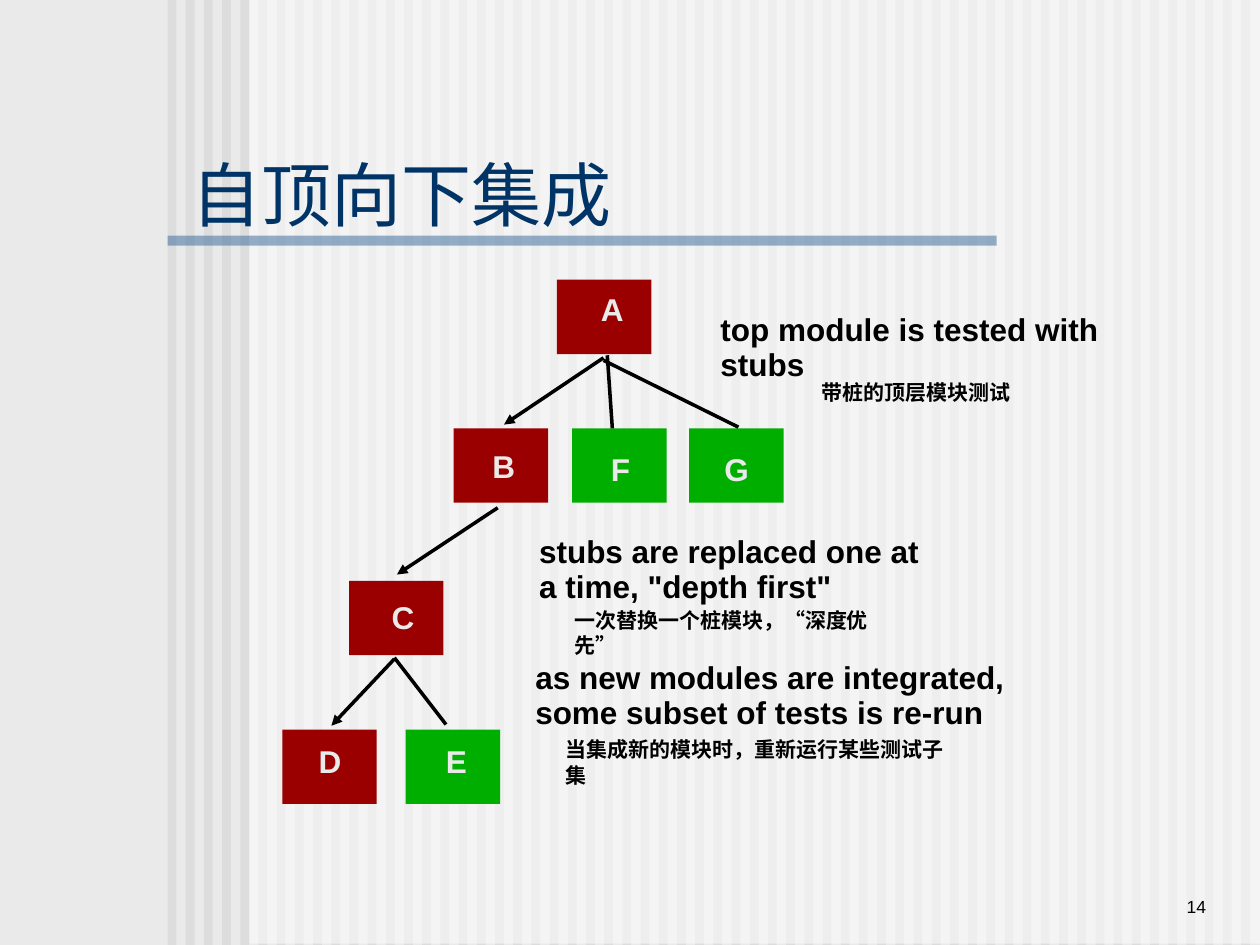
import pptx
import pptx.dml.color
import pptx.enum.shapes
import pptx.enum.text
import pptx.oxml
import pptx.oxml.ns
import pptx.util
from pptx.enum.text import MSO_ANCHOR, MSO_AUTO_SIZE, PP_ALIGN

Inches = pptx.util.Inches
RGBColor = pptx.dml.color.RGBColor

GRAY = RGBColor(0xEA, 0xEA, 0xEA)
STRIPE = RGBColor(0xDD, 0xDD, 0xDD)
WHITE = RGBColor(0xFF, 0xFF, 0xFF)
BLUE = RGBColor(0x33, 0x66, 0x99)
NAVY = RGBColor(0x00, 0x33, 0x66)
BLACK = RGBColor(0x00, 0x00, 0x00)
RED = RGBColor(0x9A, 0x00, 0x00)
GREEN = RGBColor(0x00, 0xAE, 0x00)

FONT = "Arial"
STRIPE_COUNT, STRIPE_LEFT, STRIPE_RIGHT, STRIPE_WIDTH = 60, 1.33, 9.85, 0.07
MODULE_WIDTH, MODULE_HEIGHT = 0.75, 0.59
LINE_STEP = 0.28

TITLE = "自顶向下集成"
PAGE_NUMBER = "14"

# name, fill, module left and top, label left, top and width
MODULES = [
    ("A", RED, 4.42, 2.22, 4.67, 2.25, 0.38),
    ("B", RED, 3.6, 3.4, 3.81, 3.5, 0.38),
    ("C", RED, 2.77, 4.61, 3.01, 4.7, 0.38),
    ("D", RED, 2.24, 5.79, 2.43, 5.84, 0.38),
    ("E", GREEN, 3.22, 5.79, 3.44, 5.84, 0.37),
    ("F", GREEN, 4.54, 3.4, 4.75, 3.52, 0.35),
    ("G", GREEN, 5.47, 3.4, 5.65, 3.52, 0.39),
]

STUB_LINES = [
    ((3.13, 5.22), (3.54, 5.75)),
    ((4.82, 2.82), (4.86, 3.4)),
    ((4.79, 2.86), (5.86, 3.39)),
]
INTEGRATION_ARROWS = [
    ((4.79, 2.84), (4, 3.37)),
    ((3.95, 4.03), (3.15, 4.56)),
    ((3.13, 5.23), (2.63, 5.76)),
]

STEPS = [
    (5.62, 2.41, [("top module is tested with", 3.27), ("stubs", 0.87)]),
    (4.18, 4.17, [("stubs are replaced one at", 3.28), ('a time, "depth first"', 2.52)]),
    (4.15, 5.17, [("as new modules are integrated,", 3.99),
                  ("some subset of tests is re-run", 3.76)]),
]
TRANSLATIONS = [
    ("带桩的顶层模块测试", 6.42, 2.96, 1.7),
    ("一次替换一个桩模块，“深度优先”", 4.46, 4.77, 2.86),
    ("当集成新的模块时，重新运行某些测试子集", 4.39, 5.8, 3.36),
]


def add_block(page, left, top, width, height, color, alpha=None):
    block = page.shapes.add_shape(
        pptx.enum.shapes.MSO_SHAPE.RECTANGLE,
        Inches(left), Inches(top), Inches(width), Inches(height))
    block.shadow.inherit = False
    block.fill.solid()
    block.fill.fore_color.rgb = color
    block.line.fill.background()
    if alpha is not None:
        fill_color = block.element.spPr.find(".//" + pptx.oxml.ns.qn("a:srgbClr"))
        opacity = pptx.oxml.parse_xml(
            f'<a:alpha {pptx.oxml.ns.nsdecls("a")} val="{alpha * 1000}"/>')
        fill_color.append(opacity)


def write(box, text, size, color, bold=False, align=PP_ALIGN.LEFT):
    box.text_frame.text = text
    para = box.text_frame.paragraphs[0]
    para.alignment = align
    font = para.runs[0].font
    font.name, font.size, font.bold = FONT, pptx.util.Pt(size), bold
    font.color.rgb = color


def add_text(page, text, left, top, width, height, size, color, bold=True):
    box = page.shapes.add_textbox(
        Inches(left), Inches(top), Inches(width), Inches(height))
    box.text_frame.word_wrap = False
    write(box, text, size, color, bold)
    return box


def add_line(page, start, end, arrow=False):
    line = page.shapes.add_connector(
        pptx.enum.shapes.MSO_CONNECTOR.STRAIGHT,
        *(Inches(value) for value in start + end))
    line.line.color.rgb = BLACK
    line.line.width = pptx.util.Pt(2)
    namespace = pptx.oxml.ns.nsdecls("a")
    if arrow:
        line.line._get_or_add_ln().append(
            pptx.oxml.parse_xml(f'<a:tailEnd {namespace} type="triangle"/>'))
    line.element.spPr.append(pptx.oxml.parse_xml(f"<a:effectLst {namespace}/>"))


def add_backdrop(page):
    page.background.fill.solid()
    page.background.fill.fore_color.rgb = GRAY
    pitch = (STRIPE_RIGHT - STRIPE_LEFT) / (STRIPE_COUNT - 1)
    for index in range(STRIPE_COUNT):
        add_block(page, STRIPE_LEFT + index * pitch, 0, STRIPE_WIDTH, 7.5, STRIPE)
    add_block(page, 1.98, 0, 8.02, 7.49, WHITE, 50)
    add_block(page, 1.33, 1.87, 6.58, 0.08, BLUE, 50)


def add_title(page):
    title = page.shapes.title
    title.element.getparent().append(title.element)
    title.left, title.top = Inches(1.42), Inches(1.25)
    title.width, title.height = Inches(5.79), Inches(0.57)
    title.text_frame.auto_size = MSO_AUTO_SIZE.NONE
    title.text_frame.vertical_anchor = MSO_ANCHOR.MIDDLE
    write(title, TITLE, 40, NAVY)


def main():
    deck = pptx.Presentation()
    deck.slide_width, deck.slide_height = Inches(10), Inches(7.5)
    page = deck.slides.add_slide(deck.slide_layouts[5])
    add_backdrop(page)
    add_title(page)

    number = add_text(page, PAGE_NUMBER, 8.25, 6.83, 1.42, 0.5, 10, BLACK, False)
    number.text_frame.word_wrap = True
    number.text_frame.vertical_anchor = MSO_ANCHOR.BOTTOM
    number.text_frame.paragraphs[0].alignment = PP_ALIGN.RIGHT

    for _, color, left, top, *_ in MODULES:
        add_block(page, left, top, MODULE_WIDTH, MODULE_HEIGHT, color)
    for start, end in STUB_LINES:
        add_line(page, start, end)
    for text, left, top, width in TRANSLATIONS:
        add_text(page, text, left, top, width, 0.3, 12, BLACK)
    for name, _, _, _, left, top, width in MODULES:
        add_text(page, name, left, top, width, 0.4, 18, GRAY)
    for start, end in INTEGRATION_ARROWS:
        add_line(page, start, end, arrow=True)
    for left, top, lines in STEPS:
        for index, (text, width) in enumerate(lines):
            add_text(page, text, left, top + index * LINE_STEP, width, 0.4, 18, BLACK)

    deck.save("out.pptx")


if __name__ == "__main__":
    main()
